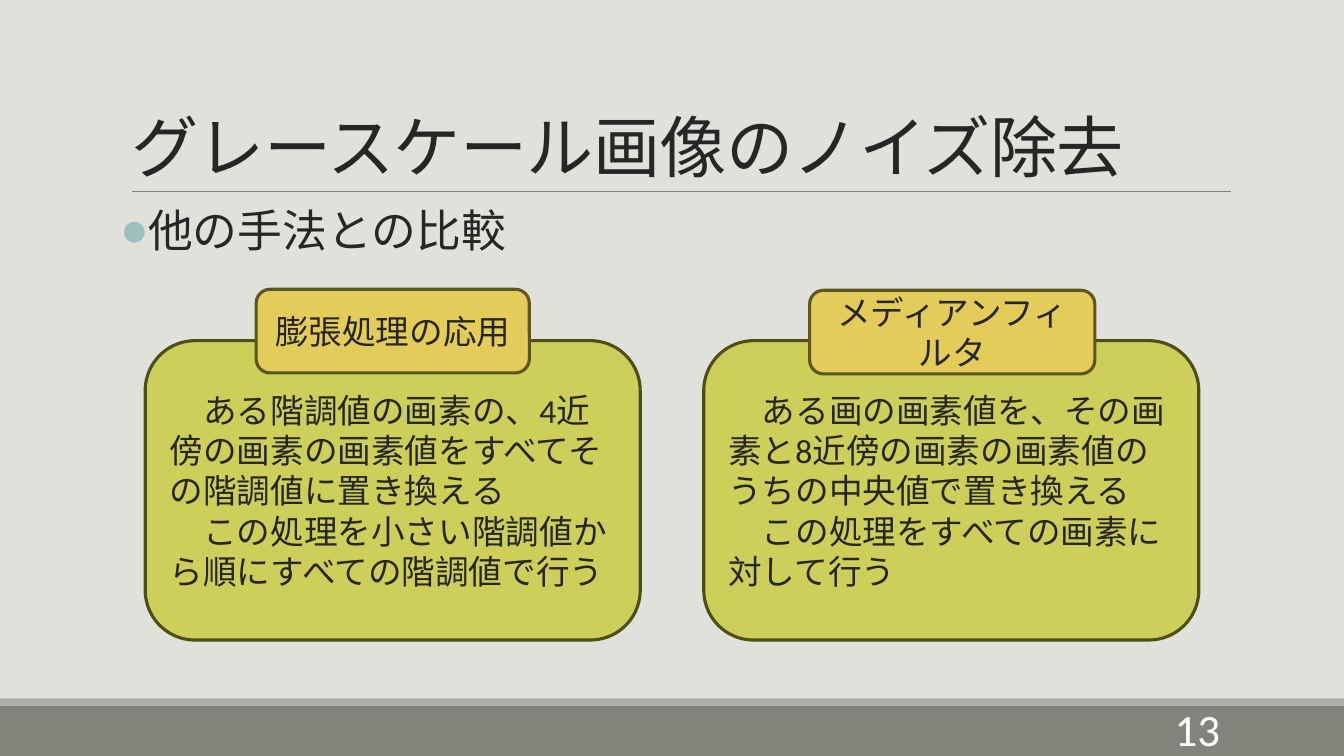
from lxml import etree
from pptx import Presentation
from pptx.dml.color import RGBColor
from pptx.enum.shapes import MSO_CONNECTOR, MSO_SHAPE
from pptx.enum.text import MSO_ANCHOR, MSO_AUTO_SIZE, PP_ALIGN
from pptx.oxml.ns import qn
from pptx.util import Inches, Pt

RECT, ROUND = MSO_SHAPE.RECTANGLE, MSO_SHAPE.ROUNDED_RECTANGLE
STRAIGHT = MSO_CONNECTOR.STRAIGHT
MIDDLE, BOTTOM, TOP = MSO_ANCHOR.MIDDLE, MSO_ANCHOR.BOTTOM, MSO_ANCHOR.TOP
LEFT, CENTER, RIGHT = PP_ALIGN.LEFT, PP_ALIGN.CENTER, PP_ALIGN.RIGHT
NO_FIT = MSO_AUTO_SIZE.NONE

BACKGROUND = RGBColor(0xE1, 0xE1, 0xDB)
FOOTER = RGBColor(0x82, 0x84, 0x7C)
STRIP = RGBColor(0xAC, 0xAD, 0xA8)
RULE = RGBColor(0x80, 0x80, 0x80)
INK = RGBColor(0x26, 0x26, 0x26)
WHITE = RGBColor(0xFF, 0xFF, 0xFF)
BULLET = RGBColor(0x9D, 0xBF, 0xBE)
GREEN = RGBColor(0xCE, 0xCE, 0x5A)
GREEN_EDGE = RGBColor(0x4E, 0x4F, 0x17)
YELLOW = RGBColor(0xE3, 0xCC, 0x5A)
YELLOW_EDGE = RGBColor(0x5F, 0x55, 0x21)

WIDTH, HEIGHT = 13.33, 7.5
MARGIN, CONTENT_WIDTH = 1.2, 11
FOOTER_TOP, STRIP_HEIGHT = 7, 0.07
CARD_LEFT, CARD_TOP, CARD_WIDTH, CARD_HEIGHT = 1.44, 3.38, 4.91, 2.97
CARD_STEP = 5.54
LABEL_HEIGHT = 0.83

CARDS = [
    ("膨張処理の応用", 2.54, 2.87, 2.71,
     ["　ある階調値の画素の、4近傍の画素の画素値をすべてその階調値に置き換える",
      "　この処理を小さい階調値から順にすべての階調値で行う"]),
    ("メディアンフィルタ", 8.03, 2.88, 2.83,
     ["　ある画の画素値を、その画素と8近傍の画素の画素値のうちの中央値で置き換える",
      "　この処理をすべての画素に対して行う"]),
]


def box(x, y, w, h):
    return [Inches(v) for v in (x, y, w, h)]


def write(sp, lines, size, color=INK, align=LEFT, anchor=MIDDLE, font="Calibri"):
    tf = sp.text_frame
    tf.word_wrap = True
    tf.auto_size = NO_FIT
    tf.vertical_anchor = anchor
    tf.text = "\n".join(lines)
    for p in tf.paragraphs:
        p.alignment = align
        p.font.name = font
        p.font.size = Pt(size)
        p.font.color.rgb = color
    return tf


def add_box(s, kind, place, fill, edge=None):
    sp = s.shapes.add_shape(kind, *box(*place))
    sp.shadow.inherit = False
    sp.fill.solid()
    sp.fill.fore_color.rgb = fill
    if edge is None:
        sp.line.fill.background()
    else:
        sp.line.color.rgb = edge
        sp.line.width = Pt(2.25)
    return sp


def add_rule(s, x1, x2, y):
    rule = s.shapes.add_connector(STRAIGHT, Inches(x1), Inches(y), Inches(x2), Inches(y))
    rule.line.color.rgb = RULE
    rule.line.width = Pt(0.5)
    etree.SubElement(rule._element.spPr, qn("a:effectLst"))


def place_in(sp, place):
    sp.left, sp.top, sp.width, sp.height = box(*place)


def set_title(s, text):
    sp = s.shapes.title
    place_in(sp, (MARGIN, 0.31, CONTENT_WIDTH, 1.59))
    p = write(sp, [text], 48, anchor=BOTTOM, font="Arial").paragraphs[0]
    p.line_spacing = 0.85
    p.runs[0]._r.get_or_add_rPr().set("spc", "-50")


def set_body(s, text):
    sp = s.placeholders[1]
    place_in(sp, (MARGIN, 2.02, CONTENT_WIDTH, 4.4))
    tf = write(sp, [text], 32, anchor=TOP)
    tf.margin_left = tf.margin_right = 0
    p = tf.paragraphs[0]
    p.line_spacing = 0.9
    p.space_before, p.space_after = Pt(12), Pt(2)
    add_bullet(p)


def add_bullet(p):
    pPr = p._p.get_or_add_pPr()
    pPr.set("marL", str(Inches(0.1)))
    pPr.set("indent", str(Inches(-0.1)))
    defaults = pPr.find(qn("a:defRPr"))
    color = etree.Element(qn("a:buClr"))
    etree.SubElement(color, qn("a:srgbClr"), val=str(BULLET))
    for el in (color, etree.Element(qn("a:buFont"), typeface="Calibri"),
               etree.Element(qn("a:buChar"), char="●")):
        defaults.addprevious(el)


def add_page_number(s, number):
    sp = s.shapes.add_textbox(*box(10.77, 7.03, 1.43, 0.4))
    write(sp, [number], 32, WHITE, RIGHT)


def main():
    prs = Presentation()
    prs.slide_width, prs.slide_height = Inches(WIDTH), Inches(HEIGHT)
    s = prs.slides.add_slide(prs.slide_layouts[1])
    s.background.fill.solid()
    s.background.fill.fore_color.rgb = BACKGROUND

    add_box(s, RECT, (0, FOOTER_TOP, WIDTH, HEIGHT - FOOTER_TOP), FOOTER)
    add_box(s, RECT, (0, FOOTER_TOP - STRIP_HEIGHT, WIDTH, STRIP_HEIGHT), STRIP)
    add_rule(s, 1.31, 12.21, 1.9)
    set_title(s, "グレースケール画像のノイズ除去")
    set_body(s, "他の手法との比較")
    add_page_number(s, "13")

    for i, (label, x, y, w, lines) in enumerate(CARDS):
        place = (CARD_LEFT + i * CARD_STEP, CARD_TOP, CARD_WIDTH, CARD_HEIGHT)
        write(add_box(s, ROUND, place, GREEN, GREEN_EDGE), lines, 24)
        tag = add_box(s, ROUND, (x, y, w, LABEL_HEIGHT), YELLOW, YELLOW_EDGE)
        write(tag, [label], 24, align=CENTER)

    prs.save("out.pptx")


if __name__ == "__main__":
    main()
